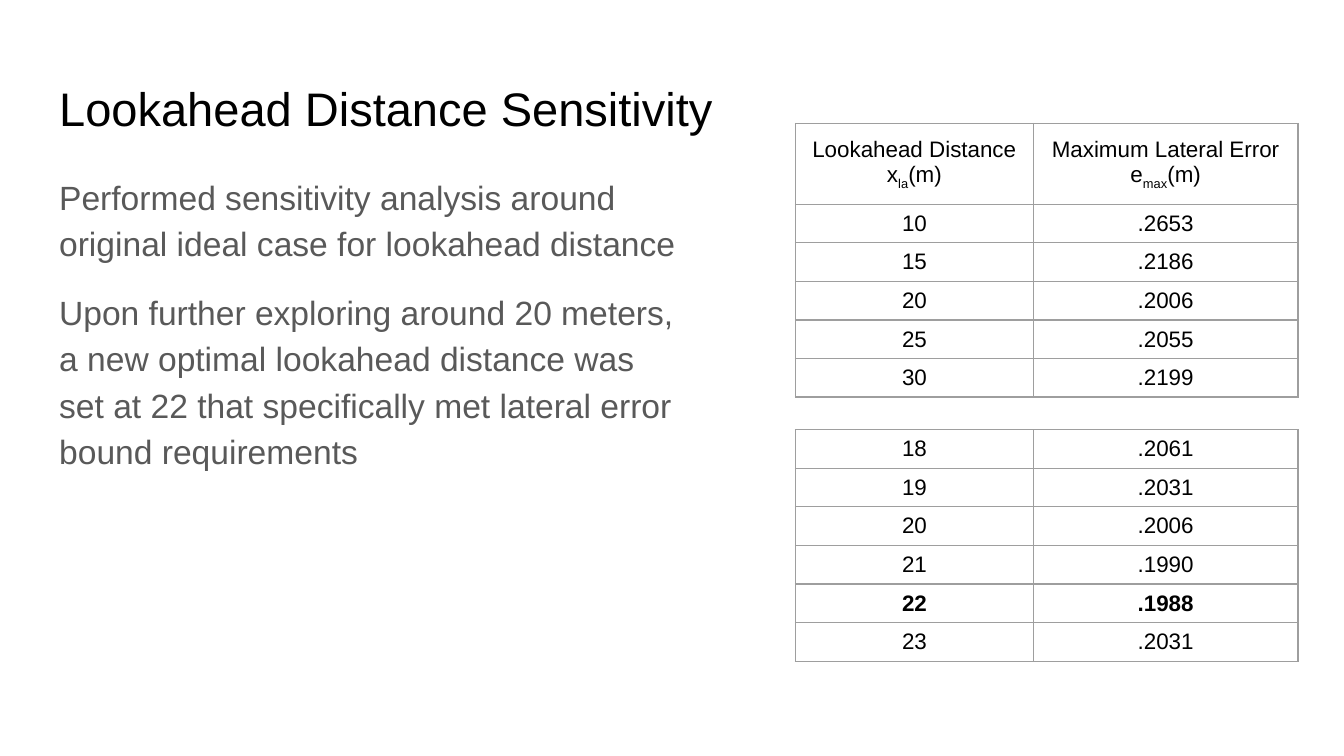
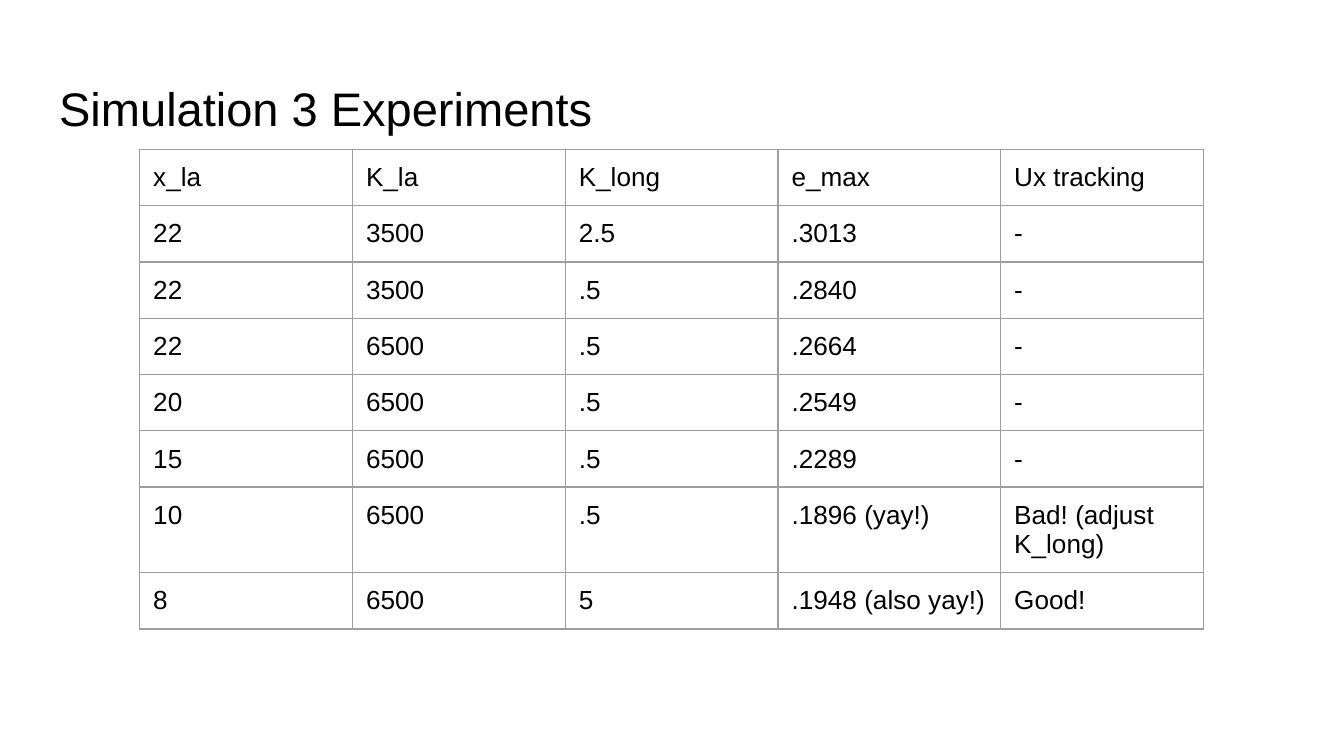
from lxml.etree import SubElement as Sub, Element
from pptx import Presentation as Deck
from pptx.dml.color import RGBColor as Rgb
from pptx.enum.text import MSO_ANCHOR as Anchor, MSO_AUTO_SIZE as Fit, PP_ALIGN as Align
from pptx.oxml.ns import qn
from pptx.util import Pt

BLACK = Rgb(0x00, 0x00, 0x00)
GRAY = Rgb(0x59, 0x59, 0x59)
RULE = Rgb(0x9E, 0x9E, 0x9E)
FACE = "Arial"
PAD = 7.2
TIGHT = 3.6
LEFT = 24.5
TITLE = (LEFT, 35.3, 671, 45.4)
BODY = (LEFT, 84.2, 347.8, 275.8)
ONLY, LIST = 5, 1  # layouts: title only, title with list

HEAD = ["Lookahead Distance\nx~la~(m)", "Maximum Lateral Error e~max~(m)"]
COARSE = [["10", ".2653"], ["15", ".2186"], ["20", ".2006"],
          ["25", ".2055"], ["30", ".2199"]]
FINE = [["18", ".2061"], ["19", ".2031"], ["20", ".2006"],
        ["21", ".1990"], ["22", ".1988"], ["23", ".2031"]]
BEST = 4  # row of the smallest error in FINE
NOTES = [
    "Performed sensitivity analysis around original ideal case for "
    "lookahead distance",
    "Upon further exploring around 20 meters, a new optimal lookahead "
    "distance was set at 22 that specifically met lateral error bound "
    "requirements",
]
TRIALS = [
    ["x_la", "K_la", "K_long", "e_max", "Ux tracking"],
    ["22", "3500", "2.5", ".3013", "-"],
    ["22", "3500", ".5", ".2840", "-"],
    ["22", "6500", ".5", ".2664", "-"],
    ["20", "6500", ".5", ".2549", "-"],
    ["15", "6500", ".5", ".2289", "-"],
    ["10", "6500", ".5", ".1896 (yay!)", "Bad! (adjust K_long)"],
    ["8", "6500", "5", ".1948 (also yay!)", "Good!"],
]


def style(para, size, color, bold=False):
    """Set the font of a whole paragraph."""
    font = para.font
    font.name, font.size, font.bold = FACE, Pt(size), bold
    font.color.rgb = color


def pad(item, gap):
    """Give a cell or text frame equal insets."""
    item.margin_left = item.margin_right = Pt(gap)
    item.margin_top = item.margin_bottom = Pt(gap)


def place(shape, box):
    """Move a placeholder into a box and return its text frame."""
    shape.left, shape.top, shape.width, shape.height = map(Pt, box)
    frame = shape.text_frame
    frame.word_wrap, frame.auto_size = True, Fit.NONE
    frame.vertical_anchor = Anchor.TOP
    pad(frame, PAD)
    return frame


def start(deck, kind, text):
    """Add a slide with its title."""
    slide = deck.slides.add_slide(deck.slide_layouts[kind])
    frame = place(slide.shapes.title, TITLE)
    frame.text = text
    para = frame.paragraphs[0]
    para.alignment = Align.LEFT
    style(para, 25.2, BLACK)
    return slide


def fill_body(shape, box, lines):
    """Write plain paragraphs without bullets in the body."""
    frame = place(shape, box)
    frame.text = "\n".join(lines)
    for i, para in enumerate(frame.paragraphs):
        props = para._p.get_or_add_pPr()
        props.set("marL", "0")
        props.set("indent", "0")
        Sub(props, qn("a:buNone"))
        para.line_spacing = 1.15
        para.space_before = para.space_after = Pt(12 if i else 0)
        style(para, 18, GRAY)


def edge(cell):
    """Draw a thin rule on all four sides of a cell."""
    props = cell._tc.get_or_add_tcPr()
    for i, side in enumerate(("lnL", "lnR", "lnT", "lnB")):
        line = Element(qn("a:" + side), w=str(Pt(0.75)))
        paint = Sub(line, qn("a:solidFill"))
        Sub(paint, qn("a:srgbClr"), val=str(RULE))
        props.insert(i, line)


def write(cell, text, size, align, bold):
    """Write a cell; parts between tildes are subscripts."""
    frame = cell.text_frame
    for i, line in enumerate(text.split("\n")):
        para = frame.add_paragraph() if i else frame.paragraphs[0]
        para.alignment = align
        style(para, size, BLACK, bold)
        for j, part in enumerate(line.split("~")):
            run = para.add_run()
            run.text = part
            if j % 2:
                run._r.get_or_add_rPr().set("baseline", "-25000")


def grid(slide, spot, cols, tall, rows, size, gap=PAD, align=Align.LEFT,
         anchor=Anchor.TOP, head=None, bold=None):
    """Place a ruled table at a spot, with an optional taller head row."""
    highs = [tall] * len(rows)
    if head:
        rows, highs = [head] + rows, [42.8] + highs
    box = (*spot, sum(cols), sum(highs))
    table = slide.shapes.add_table(len(rows), len(cols), *map(Pt, box)).table
    table.first_row = table.horz_banding = False
    for col, wide in zip(table.columns, cols):
        col.width = Pt(wide)
    for r, (row, high) in enumerate(zip(rows, highs)):
        table.rows[r].height = Pt(high)
        for c, text in enumerate(row):
            cell = table.cell(r, c)
            cell.fill.background()
            cell.vertical_anchor = anchor
            pad(cell, PAD if head and r == 0 else gap)
            edge(cell)
            write(cell, text, size, align, r == bold)


def sense(deck):
    """Build the sensitivity slide: notes left, two tables right."""
    slide = start(deck, LIST, "Lookahead Distance Sensitivity")
    fill_body(slide.placeholders[1], BODY, NOTES)
    look = dict(cols=(127.4, 141.8), tall=20.6, size=12, gap=TIGHT,
                align=Align.CENTER, anchor=Anchor.MIDDLE)
    grid(slide, (426.2, 66.2), rows=COARSE, head=HEAD, **look)
    grid(slide, (426.2, 230.2), rows=FINE, bold=BEST, **look)


def trials(deck):
    """Build the experiments slide with one wide table."""
    slide = start(deck, ONLY, "Simulation 3 Experiments")
    cols = (114, 114, 114, 119.3, 108.7)
    grid(slide, (74.9, 80), cols, 30, TRIALS, 14)


deck = Deck()
deck.slide_width, deck.slide_height = Pt(720), Pt(405)
sense(deck)
trials(deck)
deck.save("out.pptx")
